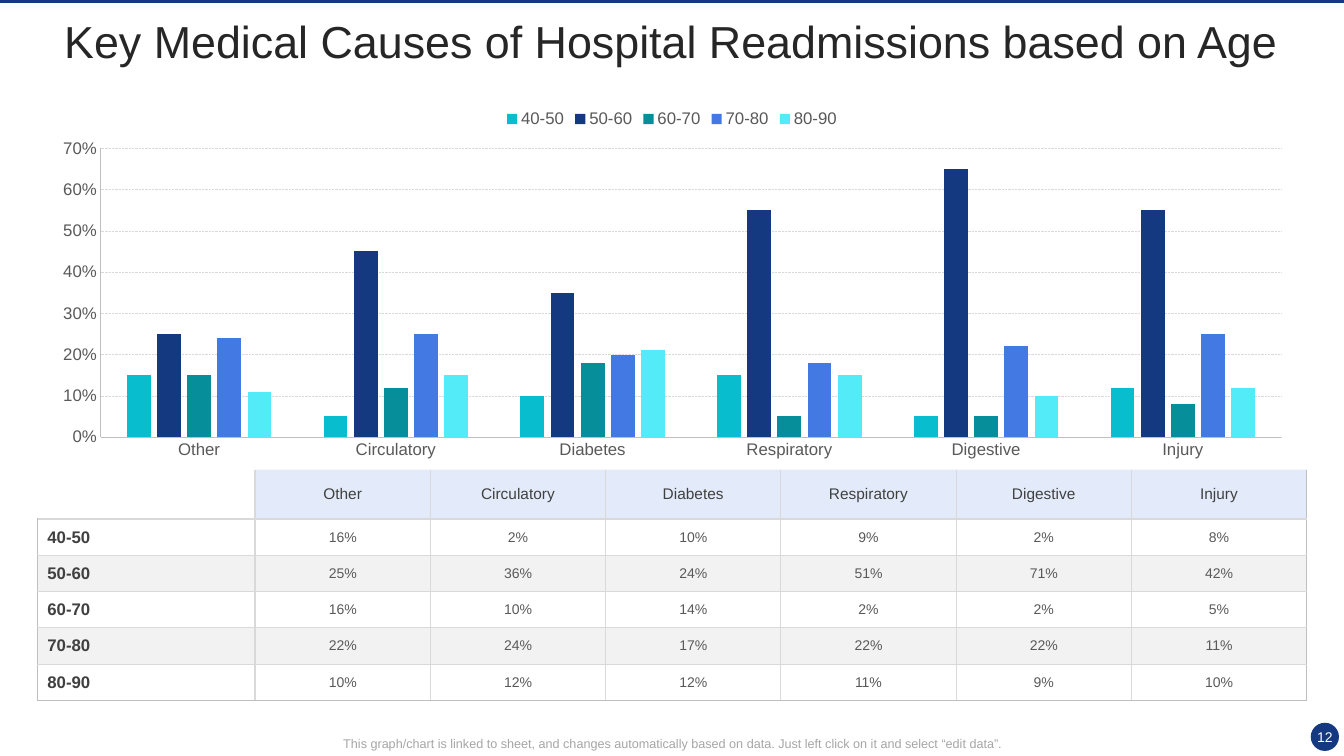
from lxml.etree import SubElement
from pptx import Presentation
from pptx.chart.data import CategoryChartData
from pptx.dml.color import RGBColor
from pptx.enum.chart import XL_CHART_TYPE as ChartType, XL_LEGEND_POSITION as LegendPosition
from pptx.enum.chart import XL_TICK_MARK as TickMark
from pptx.enum.dml import MSO_LINE
from pptx.enum.shapes import MSO_SHAPE as Shape
from pptx.enum.text import MSO_ANCHOR as Anchor, MSO_AUTO_SIZE as AutoSize, PP_ALIGN as Align
from pptx.oxml import parse_xml
from pptx.oxml.ns import nsdecls, qn
from pptx.util import Inches, Pt

NAVY = RGBColor(0x14, 0x39, 0x80)
CYAN = RGBColor(0x08, 0xBD, 0xCD)
TEAL = RGBColor(0x06, 0x8E, 0x9A)
BLUE = RGBColor(0x43, 0x79, 0xE2)
AQUA = RGBColor(0x53, 0xEB, 0xF8)
HEADER = RGBColor(0xC0, 0xD2, 0xF5)
WHITE = RGBColor(0xFF, 0xFF, 0xFF)
STRIPE = RGBColor(0xF2, 0xF2, 0xF2)
INNER_LINE = RGBColor(0xD9, 0xD9, 0xD9)
OUTER_LINE = RGBColor(0xBF, 0xBF, 0xBF)
TITLE_INK = RGBColor(0x26, 0x26, 0x26)
DARK_INK = RGBColor(0x40, 0x40, 0x40)
INK = RGBColor(0x59, 0x59, 0x59)
FOOTNOTE_INK = RGBColor(0xA6, 0xA6, 0xA6)
FONT = "Arial"

TITLE = "Key Medical Causes of Hospital Readmissions based on Age"
FOOTNOTE = ("This graph/chart is linked to sheet, and changes automatically based on data. "
            "Just left click on it and select “edit data”.")
PAGE = "12"
CAUSES = ["Other", "Circulatory", "Diabetes", "Respiratory", "Digestive", "Injury"]
# age group, bar colour, chart values, table percentages
AGE_GROUPS = [
    ("40-50", CYAN, (0.15, 0.05, 0.10, 0.15, 0.05, 0.12), (16, 2, 10, 9, 2, 8)),
    ("50-60", NAVY, (0.25, 0.45, 0.35, 0.55, 0.65, 0.55), (25, 36, 24, 51, 71, 42)),
    ("60-70", TEAL, (0.15, 0.12, 0.18, 0.05, 0.05, 0.08), (16, 10, 14, 2, 2, 5)),
    ("70-80", BLUE, (0.24, 0.25, 0.20, 0.18, 0.22, 0.25), (22, 24, 17, 22, 22, 11)),
    ("80-90", AQUA, (0.11, 0.15, 0.21, 0.15, 0.10, 0.12), (10, 12, 12, 11, 9, 10)),
]

WIDTH, HEIGHT = 13.33, 7.5
LEFT, CONTENT_WIDTH = 0.37, 12.59
CHART_TOP, CHART_HEIGHT = 0.98, 3.65
TABLE_TOP, HEADER_HEIGHT, ROW_HEIGHT = 4.66, 0.49, 0.36
LABEL_WIDTH = 2.16
CAUSE_WIDTH = (CONTENT_WIDTH - LABEL_WIDTH) / len(CAUSES)
PLOT_SHARE = {"x": 0.05, "y": 0.135, "w": 0.93, "h": 0.785}


def box(*lengths):
    return [Inches(length) for length in lengths]


def style(font, size, color, bold=False):
    font.name, font.size, font.bold = FONT, Pt(size), bold
    font.color.rgb = color


def write(frame, text, size, color, align=Align.CENTER, bold=False):
    frame.text = text
    paragraph = frame.paragraphs[0]
    paragraph.alignment = align
    style(paragraph.font, size, color, bold)
    return paragraph


def clear_margins(frame):
    frame.margin_left = frame.margin_right = frame.margin_top = frame.margin_bottom = 0
    frame.vertical_anchor = Anchor.MIDDLE


def add_navy_shape(slide, kind, *lengths):
    shape = slide.shapes.add_shape(kind, *box(*lengths))
    shape.shadow.inherit = False
    shape.fill.solid()
    shape.fill.fore_color.rgb = NAVY
    shape.line.fill.background()
    return shape


def set_borders(cell, colors):
    """Draw left, right, top and bottom edges; None leaves an edge undrawn."""
    properties = cell._tc.get_or_add_tcPr()
    for index, (side, color) in enumerate(zip("LRTB", colors)):
        paint = (f'<a:solidFill><a:srgbClr val="{color}"/></a:solidFill>'
                 if color else "<a:noFill/>")
        properties.insert(index, parse_xml(
            f'<a:ln{side} {nsdecls("a")} w="{Pt(1)}">{paint}</a:ln{side}>'))


def add_title(slide):
    title = slide.shapes.title
    title.left, title.top, title.width, title.height = box(0.12, 0.13, 13.08, 0.62)
    frame = title.text_frame
    frame.auto_size = AutoSize.NONE
    frame.vertical_anchor = Anchor.MIDDLE
    write(frame, TITLE, 32, TITLE_INK).line_spacing = 0.9


def add_age_chart(slide):
    data = CategoryChartData(number_format="0%")
    data.categories = CAUSES
    for name, _, values, _ in AGE_GROUPS:
        data.add_series(name, values)
    chart = slide.shapes.add_chart(
        ChartType.COLUMN_CLUSTERED,
        *box(LEFT, CHART_TOP, CONTENT_WIDTH, CHART_HEIGHT), data).chart
    style(chart.font, 10, INK)
    chart.has_title = False
    chart.has_legend = True
    chart.legend.position = LegendPosition.TOP
    chart.legend.include_in_layout = False
    style(chart.legend.font, 12, INK)

    plot = chart.plots[0]
    plot.gap_width, plot.overlap, plot.vary_by_categories = 219, -27, False
    for series, (_, color, _, _) in zip(plot.series, AGE_GROUPS):
        series.format.fill.solid()
        series.format.fill.fore_color.rgb = color
        series.invert_if_negative = False

    for axis in (chart.category_axis, chart.value_axis):
        axis.major_tick_mark = axis.minor_tick_mark = TickMark.NONE
        axis.format.line.color.rgb = OUTER_LINE
        axis.format.line.width = Pt(0.75)
        style(axis.tick_labels.font, 12, INK)
    values = chart.value_axis
    values.minimum_scale, values.maximum_scale, values.major_unit = 0, 0.7, 0.1
    values.tick_labels.number_format = "0%"
    values.tick_labels.number_format_is_linked = False
    grid = values.major_gridlines.format.line
    grid.color.rgb, grid.width, grid.dash_style = INNER_LINE, Pt(0.5), MSO_LINE.ROUND_DOT

    area = chart._chartSpace.chart.plotArea
    for old in area.findall(qn("c:layout")):
        area.remove(old)
    layout = parse_xml(f'<c:layout {nsdecls("c")}><c:manualLayout/></c:layout>')
    settings = {"layoutTarget": "inner", "xMode": "edge", "yMode": "edge", **PLOT_SHARE}
    for name, value in settings.items():
        SubElement(layout[0], qn(f"c:{name}")).set("val", str(value))
    area.insert(0, layout)


def add_age_table(slide):
    rows = [["", *CAUSES]]
    rows += [[name, *(f"{share}%" for share in shares)] for name, _, _, shares in AGE_GROUPS]
    last_row, last_column = len(rows) - 1, len(CAUSES)
    table = slide.shapes.add_table(
        len(rows), len(rows[0]),
        *box(LEFT, TABLE_TOP, CONTENT_WIDTH, HEADER_HEIGHT + ROW_HEIGHT * last_row)).table
    table.first_row = table.horz_banding = False
    for index, column in enumerate(table.columns):
        column.width = Inches(CAUSE_WIDTH if index else LABEL_WIDTH)
    for index, row in enumerate(table.rows):
        row.height = Inches(ROW_HEIGHT if index else HEADER_HEIGHT)

    for r, texts in enumerate(rows):
        for c, text in enumerate(texts):
            cell = table.cell(r, c)
            cell.vertical_anchor = Anchor.MIDDLE
            is_header = r == 0 and c > 0
            cell.fill.solid()
            cell.fill.fore_color.rgb = (
                HEADER if is_header else STRIPE if r and r % 2 == 0 else WHITE)
            if is_header:
                write(cell.text_frame, text, 11, DARK_INK)
                color = cell._tc.tcPr.find(".//" + qn("a:srgbClr"))
                SubElement(color, qn("a:alpha")).set("val", "44000")
            elif c == 0:
                write(cell.text_frame, text, 12, DARK_INK, Align.LEFT, bold=True)
            else:
                write(cell.text_frame, text, 10, INK)
            left = INNER_LINE if c else OUTER_LINE if r else None
            right = OUTER_LINE if c == last_column else INNER_LINE
            top = INNER_LINE if r else None
            bottom = OUTER_LINE if r == last_row else INNER_LINE
            set_borders(cell, (left, right, top, bottom))


def add_footer(slide):
    note = slide.shapes.add_textbox(*box(0.13, 7.3, 13.08, 0.16)).text_frame
    note.word_wrap = True
    clear_margins(note)
    write(note, FOOTNOTE, 9, FOOTNOTE_INK)


def main():
    presentation = Presentation()
    presentation.slide_width, presentation.slide_height = box(WIDTH, HEIGHT)
    slide = presentation.slides.add_slide(presentation.slide_layouts[5])
    badge = add_navy_shape(slide, Shape.OVAL, 13, 7.17, 0.28, 0.28).text_frame
    badge.word_wrap = False
    clear_margins(badge)
    write(badge, PAGE, 10, WHITE)
    add_navy_shape(slide, Shape.RECTANGLE, 0, 0, WIDTH, 0.03)
    add_title(slide)
    add_age_chart(slide)
    add_age_table(slide)
    add_footer(slide)
    presentation.save("out.pptx")


if __name__ == "__main__":
    main()
